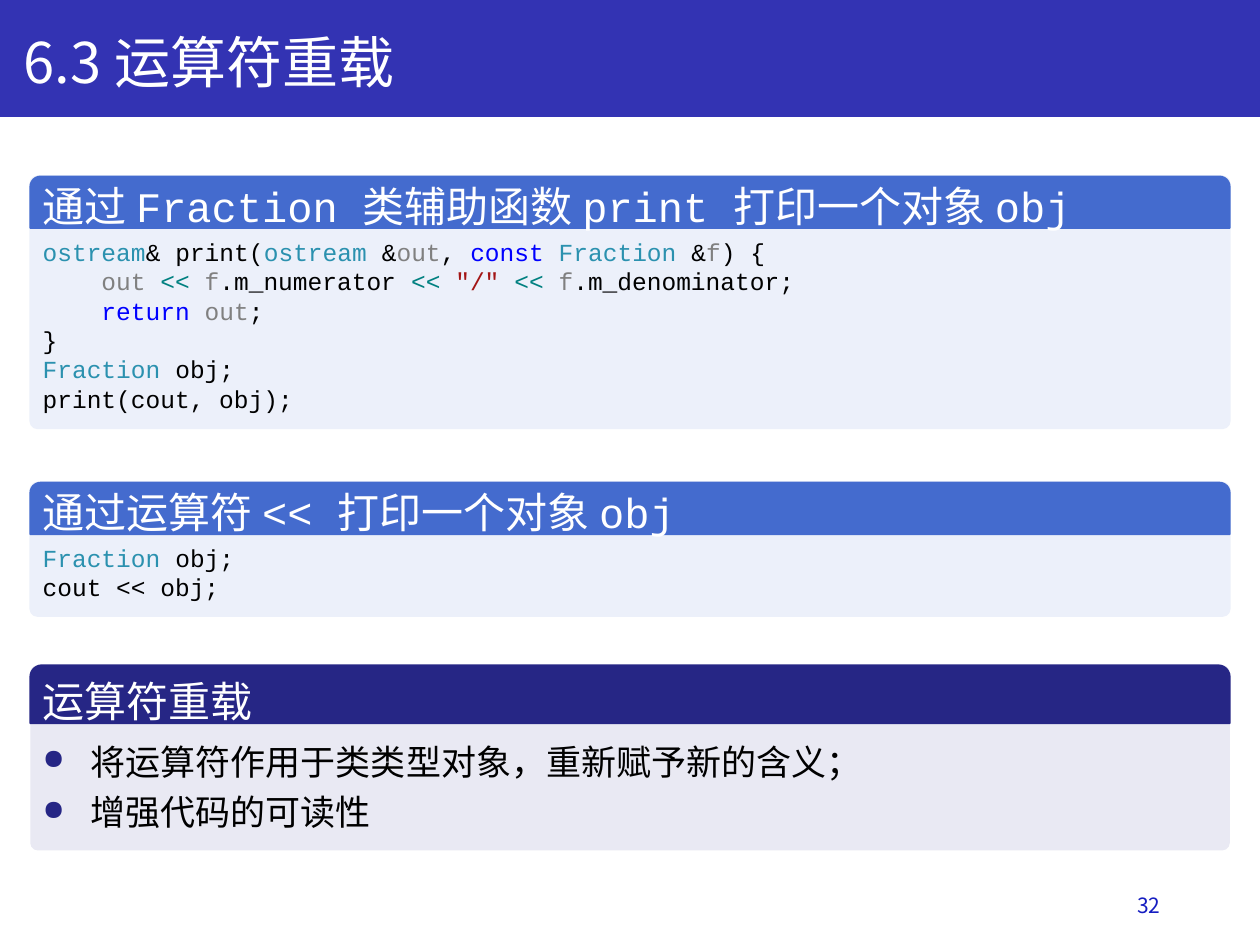
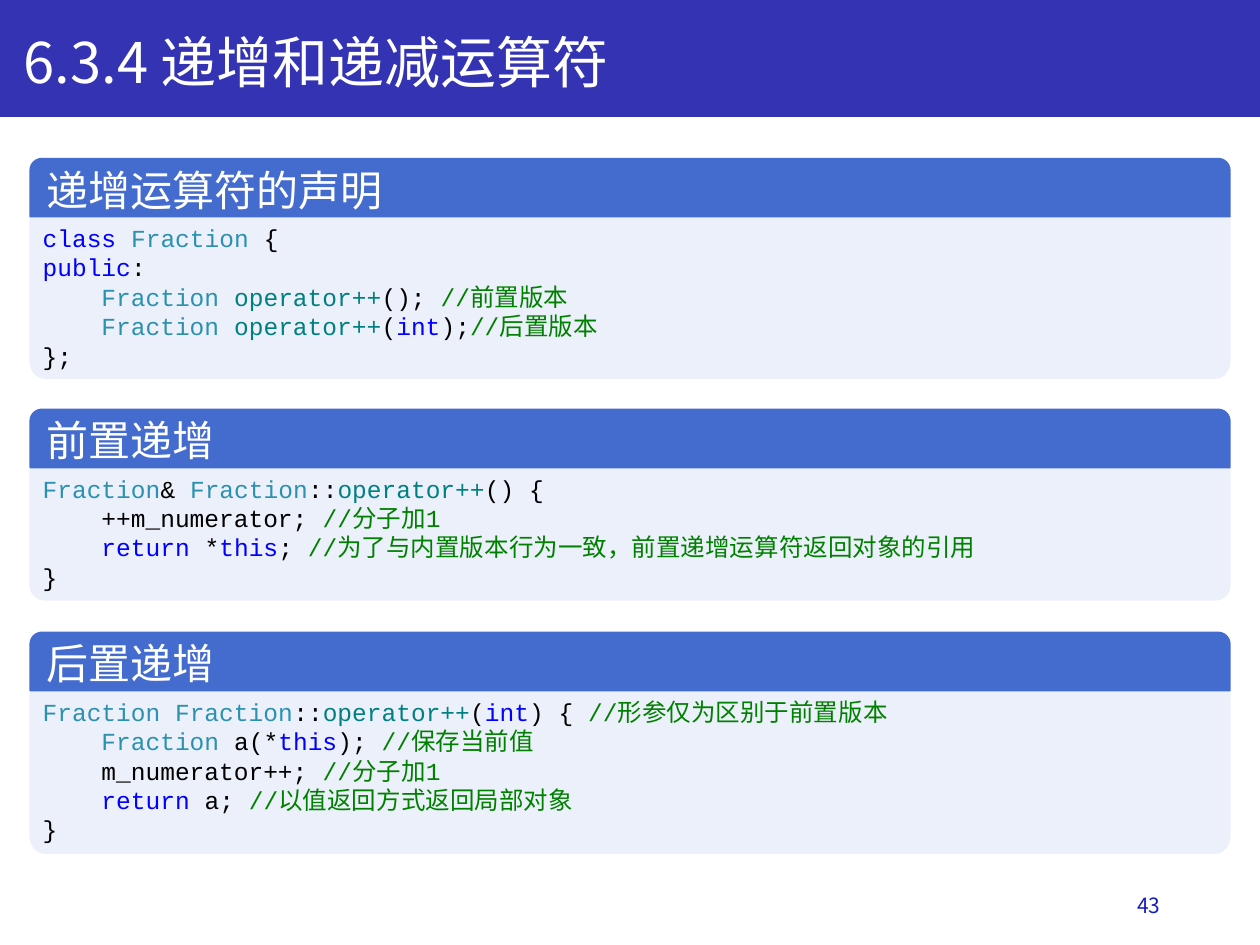
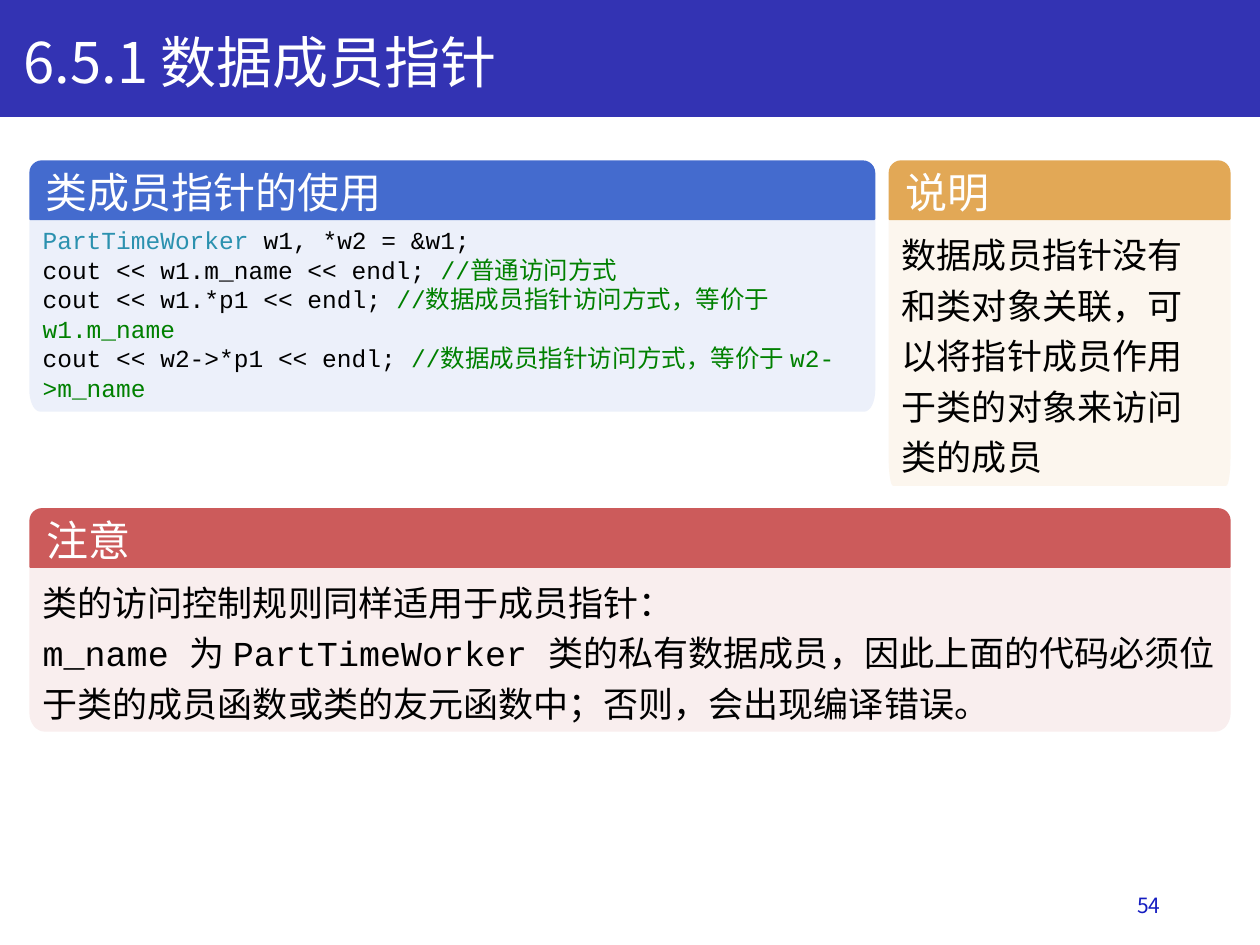
from dataclasses import dataclass
from functools import partial
from math import cos, pi, sin
from typing import NamedTuple

from lxml.etree import SubElement
from pptx import Presentation
from pptx.dml.color import RGBColor
from pptx.enum.shapes import MSO_SHAPE
from pptx.enum.text import MSO_ANCHOR, PP_ALIGN
from pptx.oxml.ns import qn
from pptx.util import Emu, Inches, Pt

# Shared look and grid
WIDTH, HEIGHT = Inches(10), Inches(7.5)
COLUMN, ROW = WIDTH / 100, HEIGHT / 75
LEFT, FULL = 2.4, 95.2
SANS, MONO = "Noto Sans CJK SC", "Courier New"
WHITE, BLACK, TITLE_BLUE, NUMBER_BLUE, NAVY = "FFFFFF", "000000", "3333B3", "151DC1", "262685"
HEADING_SIZE, BODY_SIZE, CODE_SIZE = 24, 20, 14
CODE_INDENT = Pt(4 * 0.6 * CODE_SIZE)
BULLET_INDENT = Inches(0.38)


class Theme(NamedTuple):
    header: str
    body: str


BLUE = Theme("446BCE", "ECF0FA")
INDIGO = Theme(NAVY, "E9E9F3")
ORANGE = Theme("E2A856", "FCF6EE")
RED = Theme("CC5B5B", "F9EEEE")


class Run(NamedTuple):
    text: str
    color: str = BLACK


plain = Run
type_name = partial(Run, color="2B91AF")
keyword = partial(Run, color="0000FF")
variable = partial(Run, color="808080")
operator = partial(Run, color="008080")
literal = partial(Run, color="A31515")
comment = partial(Run, color="008000")


@dataclass
class Line:
    runs: list[Run]
    size: float = CODE_SIZE
    font: str = MONO
    indent: int = 0
    spacing: float = 1.0
    bullet: str = ""
    align: PP_ALIGN = PP_ALIGN.LEFT


def code(*runs: Run, level: int = 0) -> Line:
    return Line(list(runs), indent=level * CODE_INDENT)


def prose(text: str) -> Line:
    return Line([plain(text)], BODY_SIZE, spacing=1.2)


def bullet(text: str) -> Line:
    return Line([plain(text)], BODY_SIZE, SANS, BULLET_INDENT, 1.2, NAVY)


class Box(NamedTuple):
    left: float
    top: float
    width: float
    height: float

    def emu(self) -> tuple[Emu, Emu, Emu, Emu]:
        return (Emu(round(self.left * COLUMN)), Emu(round(self.top * ROW)),
                Emu(round(self.width * COLUMN)), Emu(round(self.height * ROW)))


@dataclass
class Panel:
    heading: str
    lines: list[Line]
    box: Box
    theme: Theme = BLUE
    header: float = 4.6
    heading_font: str = MONO


@dataclass
class Page:
    title: str
    number: int
    panels: list[Panel]
    rounded_cards: bool = False


# Drawing helpers
def rgb(value: str) -> RGBColor:
    return RGBColor.from_string(value)


def paint(shape, color: str, outlined: bool = True) -> None:
    shape.shadow.inherit = False
    shape.fill.solid()
    shape.fill.fore_color.rgb = rgb(color)
    if outlined:
        shape.line.color.rgb = rgb(color)
        shape.line.width = Pt(1)
    else:
        shape.line.fill.background()


def add_bullet(properties, color: str) -> None:
    holder = SubElement(properties, qn("a:buClr"))
    SubElement(holder, qn("a:srgbClr"), val=color)
    SubElement(properties, qn("a:buSzPct"), val="80000")
    SubElement(properties, qn("a:buChar"), char="●")


def write(shape, lines: list[Line], anchor: MSO_ANCHOR = MSO_ANCHOR.TOP) -> None:
    frame = shape.text_frame
    frame.word_wrap = True
    frame.vertical_anchor = anchor
    for index, line in enumerate(lines):
        paragraph = frame.add_paragraph() if index else frame.paragraphs[0]
        paragraph.alignment = line.align
        paragraph.line_spacing = line.spacing
        properties = paragraph._p.get_or_add_pPr()
        if line.indent:
            properties.set("marL", str(int(line.indent)))
        if line.bullet:
            properties.set("indent", str(-int(line.indent)))
            add_bullet(properties, line.bullet)
        for part in line.runs:
            run = paragraph.add_run()
            run.text = part.text
            run.font.size = Pt(line.size)
            run.font.name = line.font
            run.font.color.rgb = rgb(part.color)
            SubElement(run._r.get_or_add_rPr(), qn("a:ea"), typeface=SANS)


def add_text(shapes, box: Box, lines: list[Line], anchor: MSO_ANCHOR = MSO_ANCHOR.TOP) -> None:
    write(shapes.add_textbox(*box.emu()), lines, anchor)


def add_header(shapes, panel: Panel):
    shape = shapes.add_shape(MSO_SHAPE.ROUND_2_SAME_RECTANGLE,
                             *panel.box._replace(height=panel.header).emu())
    shape.adjustments[0], shape.adjustments[1] = 0.2, 0
    paint(shape, panel.theme.header)
    return shape


def heading_line(panel: Panel) -> Line:
    return Line([Run(panel.heading, WHITE)], HEADING_SIZE, panel.heading_font)


def add_card(shapes, panel: Panel) -> None:
    """A rounded card with its header band and separate text boxes."""
    box = panel.box
    card = shapes.add_shape(MSO_SHAPE.ROUNDED_RECTANGLE, *box.emu())
    card.adjustments[0] = 0.6 / box.height
    paint(card, panel.theme.body, outlined=panel.theme is BLUE)
    add_header(shapes, panel)
    add_text(shapes, box._replace(top=box.top + panel.header - 4.3, height=5), [heading_line(panel)])
    text_top = panel.header + 0.2
    add_text(shapes, box._replace(top=box.top + text_top, height=box.height - text_top - 0.6),
             panel.lines)


def add_frame(shapes, panel: Panel) -> None:
    """A header band over a body with two rounded lower corners."""
    box = panel.box
    left, top, width, height = box._replace(
        top=box.top + panel.header, height=box.height - panel.header).emu()
    right, bottom = left + width, top + height
    radius_x, radius_y = 0.012 * width, 0.11 * height
    angles = [step * pi / 16 for step in range(9)]
    right_corner = [(right - radius_x * (1 - cos(a)), bottom - radius_y * (1 - sin(a)))
                    for a in angles]
    left_corner = [(left + right - x, y) for x, y in reversed(right_corner)]
    builder = shapes.build_freeform(left, top)
    builder.add_line_segments([(right, top), *right_corner, *left_corner], close=True)
    body = builder.convert_to_shape()
    paint(body, panel.theme.body)
    write(body, panel.lines)
    write(add_header(shapes, panel), [heading_line(panel)], MSO_ANCHOR.MIDDLE)


def add_page(presentation, page: Page) -> None:
    slide = presentation.slides.add_slide(presentation.slide_layouts[6])
    band = slide.shapes.add_shape(MSO_SHAPE.RECTANGLE, *Box(0, 0, 100, 9.2).emu())
    paint(band, TITLE_BLUE)
    add_text(slide.shapes, Box(70.6, 69.8, 22.5, 4),
             [Line([Run(str(page.number), NUMBER_BLUE)], 12, SANS, align=PP_ALIGN.RIGHT)],
             MSO_ANCHOR.MIDDLE)
    add_text(slide.shapes, Box(0.9, 1.7, 96.7, 6.4), [Line([Run(page.title, WHITE)], 32, SANS)])
    draw = add_card if page.rounded_cards else add_frame
    for panel in page.panels:
        draw(slide.shapes.add_group_shape().shapes, panel)


# Slide contents
OVERLOADING = Page("6.3 运算符重载", 32, [
    Panel("通过 Fraction 类辅助函数 print 打印一个对象 obj", [
        code(type_name("ostream"), plain("& print("), type_name("ostream"), plain(" &"),
             variable("out"), plain(", "), keyword("const "), type_name("Fraction"),
             plain(" &"), variable("f"), plain(") {")),
        code(variable("out "), operator("<< "), variable("f"), plain(".m_numerator "),
             operator("<< "), literal('"/" '), operator("<< "), variable("f"),
             plain(".m_denominator;"), level=1),
        code(keyword("return "), variable("out"), plain(";"), level=1),
        code(plain("}")),
        code(type_name("Fraction"), plain(" obj;")),
        code(plain("print(cout, obj);")),
    ], Box(LEFT, 14, FULL, 20), header=4.1),
    Panel("通过运算符 << 打印一个对象 obj", [
        code(type_name("Fraction"), plain(" obj;")),
        code(plain("cout << obj;")),
    ], Box(LEFT, 38.3, FULL, 10.6), header=4.1),
    Panel("运算符重载", [
        bullet("将运算符作用于类类型对象，重新赋予新的含义；"),
        bullet("增强代码的可读性"),
    ], Box(LEFT, 52.8, FULL, 14.7), INDIGO, heading_font=SANS),
], rounded_cards=True)

INCREMENT = Page("6.3.4 递增和递减运算符", 43, [
    Panel("递增运算符的声明", [
        code(keyword("class "), type_name("Fraction"), plain(" {")),
        code(keyword("public"), plain(":")),
        code(type_name("Fraction "), operator("operator++"), plain("(); "),
             comment("//前置版本"), level=1),
        code(type_name("Fraction "), operator("operator++"), plain("("), keyword("int"),
             plain(");"), comment("//后置版本"), level=1),
        code(plain("};")),
    ], Box(LEFT, 12.6, FULL, 17.4)),
    Panel("前置递增", [
        code(type_name("Fraction"), plain("& "), type_name("Fraction"), plain("::"),
             operator("operator++"), plain("() {")),
        code(plain("++m_numerator; "), comment("//分子加1"), level=1),
        code(keyword("return"), plain(" *"), keyword("this"), plain("; "),
             comment("//为了与内置版本行为一致，前置递增运算符返回对象的引用"), level=1),
        code(plain("}")),
    ], Box(LEFT, 32.5, FULL, 15.1)),
    Panel("后置递增", [
        code(type_name("Fraction Fraction"), plain("::"), operator("operator++"), plain("("),
             keyword("int"), plain(") { "), comment("//形参仅为区别于前置版本")),
        code(type_name("Fraction"), plain(" a(*"), keyword("this"), plain("); "),
             comment("//保存当前值"), level=1),
        code(plain("m_numerator++; "), comment("//分子加1"), level=1),
        code(keyword("return"), plain(" a; "), comment("//以值返回方式返回局部对象"), level=1),
        code(plain("}")),
    ], Box(LEFT, 50.2, FULL, 17.5)),
])

MEMBER_POINTER = Page("6.5.1 数据成员指针", 54, [
    Panel("类成员指针的使用", [
        code(type_name("PartTimeWorker"), plain(" w1, *w2 = &w1;")),
        code(plain("cout << w1.m_name << endl; "), comment("//普通访问方式")),
        code(plain("cout << w1.*p1 << endl; "),
             comment("//数据成员指针访问方式，等价于 w1.m_name")),
        code(plain("cout << w2->*p1 << endl; "),
             comment("//数据成员指针访问方式，等价于 w2->m_name")),
    ], Box(LEFT, 12.8, 67, 19.8)),
    Panel("说明", [
        prose("数据成员指针没有和类对象关联，可以将指针成员作用于类的对象来访问类的成员"),
    ], Box(70.6, 12.8, 27, 25.7), ORANGE),
    Panel("注意", [
        prose("类的访问控制规则同样适用于成员指针："),
        prose("m_name 为 PartTimeWorker 类的私有数据成员，因此上面的代码必须位于类的成员函数或类的友元函数中；"
              "否则，会出现编译错误。"),
    ], Box(LEFT, 40.4, FULL, 17.6), RED),
])


def main() -> None:
    presentation = Presentation()
    presentation.slide_width, presentation.slide_height = WIDTH, HEIGHT
    for page in (OVERLOADING, INCREMENT, MEMBER_POINTER):
        add_page(presentation, page)
    presentation.save("out.pptx")


if __name__ == "__main__":
    main()
